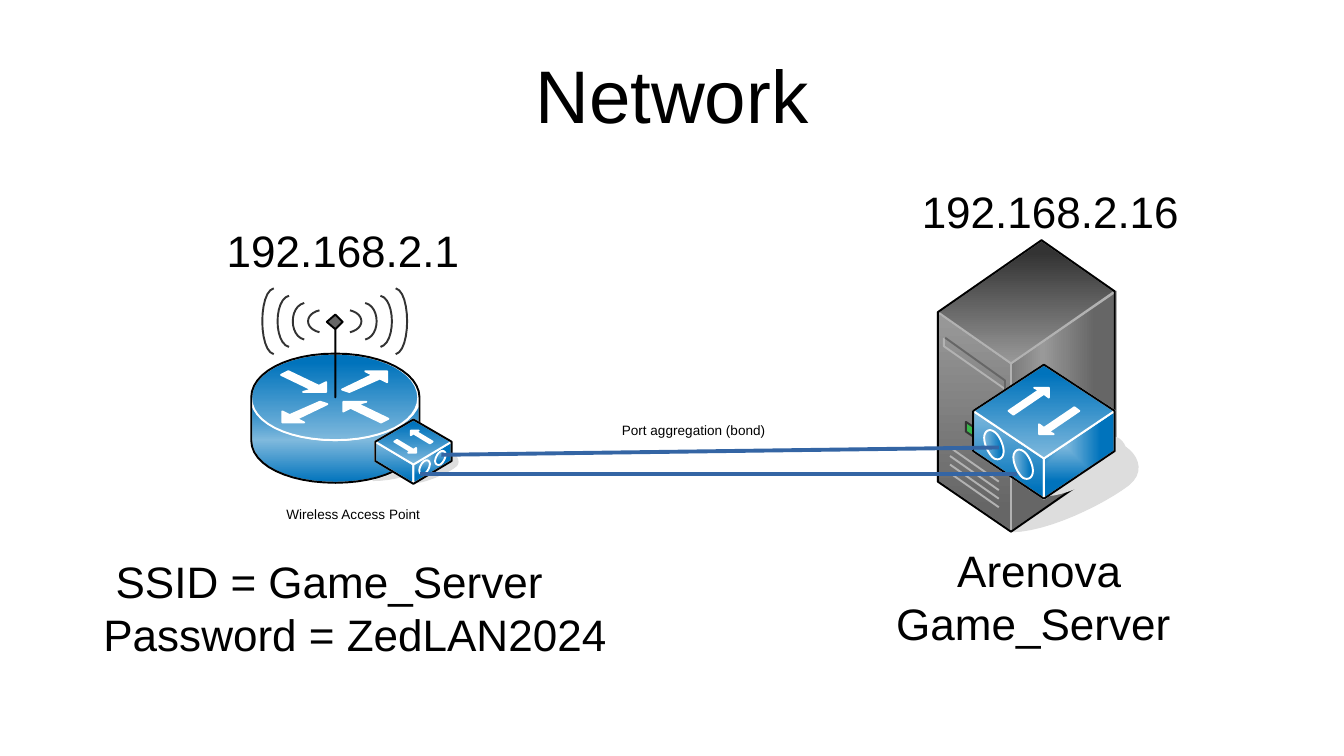
from dataclasses import dataclass, replace
from typing import Optional, Union

from lxml.etree import SubElement
from pptx import Presentation
from pptx.dml.color import RGBColor
from pptx.enum.shapes import MSO_CONNECTOR
from pptx.enum.text import MSO_ANCHOR, PP_ALIGN
from pptx.oxml.ns import qn
from pptx.util import Inches, Pt


@dataclass(frozen=True)
class Theme:
    font: str = "Arial"
    black: str = "000000"
    white: str = "FFFFFF"
    blue: str = "0073BC"
    sky: str = "7FB9DD"
    cable: str = "3465A4"
    green: str = "39B54A"
    shadow: str = "DDDDDD"
    charcoal: str = "333333"
    slate: str = "666666"
    steel: str = "999999"
    silver: str = "B2B2B2"
    title: float = 44
    label: float = 26
    caption: float = 8
    edge: float = 1.13
    bond: float = 2.3


@dataclass(frozen=True)
class Gradient:
    stops: tuple[tuple[int, str], ...]
    angle: Optional[int] = None


@dataclass(frozen=True)
class Frame:
    x: float = 0
    y: float = 0
    scale_x: float = 1
    scale_y: float = 1

    def place(self, x: float, y: float) -> tuple[float, float]:
        return self.x + self.scale_x * x, self.y + self.scale_y * y

    def inner(self, x: float, y: float, turn: int = 1) -> "Frame":
        return Frame(*self.place(x, y), turn * self.scale_x, turn * self.scale_y)


@dataclass(frozen=True)
class Outline:
    route: str
    line: str
    fill: Union[str, Gradient, None] = None
    width: float = Theme.edge


@dataclass(frozen=True)
class Label:
    left: float
    top: float
    width: float
    height: float
    lines: tuple[tuple[str, float], ...]
    size: float = Theme.label
    centred: bool = False


THEME = Theme()
PAGE = Frame()
CURVE_STEPS = 12


def blue_shade(angle: int) -> Gradient:
    return Gradient(((10, THEME.blue), (100, THEME.sky)), angle)


def trace(route: str) -> tuple[list[tuple[float, float]], bool]:
    points: list[tuple[float, float]] = []
    numbers: list[float] = []
    command = "M"
    for token in route.split():
        if token in "MLCZ":
            command = token
            continue
        numbers.append(float(token))
        if command == "C" and len(numbers) == 6:
            (ax, ay), (bx, by, cx, cy, dx, dy) = points[-1], numbers
            for step in range(1, CURVE_STEPS + 1):
                t = step / CURVE_STEPS
                u = 1 - t
                a, b, c, d = u ** 3, 3 * u * u * t, 3 * u * t * t, t ** 3
                points.append((a * ax + b * bx + c * cx + d * dx, a * ay + b * by + c * cy + d * dy))
            numbers = []
        elif command != "C" and len(numbers) == 2:
            points.append((numbers[0], numbers[1]))
            numbers = []
    return points, command == "Z"


def shade(shape, gradient: Gradient) -> None:
    shape.fill.gradient()
    element = shape._element.spPr.find(qn("a:gradFill"))
    for child in list(element):
        element.remove(child)
    stops = SubElement(element, qn("a:gsLst"))
    for position, color in gradient.stops:
        stop = SubElement(stops, qn("a:gs"), pos=str(position * 1000))
        SubElement(stop, qn("a:srgbClr"), val=color)
    if gradient.angle is None:
        centre = SubElement(element, qn("a:path"), {"path": "rect"})
        SubElement(centre, qn("a:fillToRect"), l="30000", t="30000", r="70000", b="70000")
    else:
        SubElement(element, qn("a:lin"), ang=str(gradient.angle * 60000), scaled="0")


def draw_outline(page, outline: Outline, frame: Frame = PAGE) -> None:
    points, closed = trace(outline.route)
    start, *rest = [tuple(Inches(value) for value in frame.place(*point)) for point in points]
    builder = page.shapes.build_freeform(*start)
    builder.add_line_segments(rest, close=closed)
    shape = builder.convert_to_shape()
    shape.shadow.inherit = False
    if isinstance(outline.fill, Gradient):
        shade(shape, outline.fill)
    elif outline.fill:
        shape.fill.solid()
        shape.fill.fore_color.rgb = RGBColor.from_string(outline.fill)
    else:
        shape.fill.background()
    shape.line.color.rgb = RGBColor.from_string(outline.line)
    shape.line.width = Pt(outline.width)


def draw_line(page, ends: tuple[float, float, float, float], color: str, width: float) -> None:
    line = page.shapes.add_connector(MSO_CONNECTOR.STRAIGHT, *map(Inches, ends))
    line.line.color.rgb = RGBColor.from_string(color)
    line.line.width = Pt(width)
    SubElement(line._element.spPr, qn("a:effectLst"))


def draw_router(page) -> None:
    t = THEME
    body = Gradient(((0, t.blue), (50, t.sky), (100, t.blue)), 270)
    for outline in (
        Outline("M 3.06 3.94 C 3.3 3.94 3.62 3.82 3.62 3.7 3.62 3.58 3.61 3.52 3.44 3.52 3.44 3.65 3.06 3.77 3.06 3.94 Z", t.shadow, t.shadow, 0),
        Outline("M 3.44 3.26 L 3.44 3.61 C 3.44 3.82 3.14 3.96 2.75 3.96 2.36 3.96 2.06 3.82 2.06 3.61 L 2.06 3.26 C 2.06 3.46 2.37 3.61 2.75 3.61 3.12 3.61 3.44 3.46 3.44 3.26 Z", t.white, body),
        Outline("M 2.75 2.9 C 3.14 2.9 3.43 3.06 3.43 3.26 3.43 3.46 3.14 3.61 2.75 3.61 2.35 3.61 2.06 3.46 2.06 3.26 2.06 3.06 2.35 2.9 2.75 2.9 Z", t.white, blue_shade(90)),
    ):
        draw_outline(page, outline)
    for arrow in (
        "M .26 .04 L .19 .06 .44 .18 .38 .21 .13 .09 .07 .12 .07 .04 Z",
        "M -.37 .15 L -.12 .04 -.06 .06 -.31 .18 -.25 .21 -.43 .21 -.43 .12 Z",
    ):
        for turn in (1, -1):
            draw_outline(page, Outline(arrow, t.white, t.white), Frame(2.745, 3.255, turn, turn))
    draw_outline(page, Outline("M 2.75 2.9 C 3.14 2.9 3.44 3.06 3.44 3.26 L 3.44 3.61 C 3.44 3.82 3.12 3.96 2.75 3.96 2.37 3.96 2.06 3.82 2.06 3.61 L 2.06 3.26 C 2.06 3.06 2.35 2.9 2.75 2.9 Z", t.black))
    draw_outline(page, Outline("M 2.75 3.26 L 2.75 2.7 2.68 2.64 2.75 2.58 2.81 2.64 2.75 2.7 Z", t.black, t.slate))
    for ring in range(4):
        x, reach = 0.125 * (ring + 1), 0.09 + 0.06 * ring
        bend = reach - 0.03
        wave = f"M {x} {-reach} C {x + .125} {-bend} {x + .125} {bend} {x} {reach}"
        for side in (1, -1):
            draw_outline(page, Outline(wave, t.charcoal), Frame(2.745, 2.635, side))


def draw_server(page) -> None:
    t = THEME
    front = Gradient(((10, t.slate), (100, t.steel)), 270)
    side = Gradient(((0, t.steel), (100, t.slate)))
    top = Gradient(((10, t.charcoal), (100, t.steel)), 90)
    for outline in (
        Outline("M 8.29 4.36 C 8.59 4.36 9.05 4.13 9.25 3.98 9.44 3.83 9.25 3.64 9.15 3.64 Z", t.shadow, t.shadow, 0),
        Outline("M 7.69 3.95 L 7.69 2.56 8.29 2.98 8.29 4.36 Z", t.silver, front),
        Outline("M 8.29 4.36 L 8.29 2.98 9.15 2.39 9.15 3.77 Z", t.silver, side),
        Outline("M 8.29 2.98 L 7.69 2.56 8.54 1.97 9.14 2.39 Z", t.silver, top),
        Outline("M 7.69 3.95 L 7.69 2.56 8.54 1.97 9.14 2.39 9.14 3.77 8.29 4.36 Z", t.black),
        Outline("M 8.24 3.19 L 7.74 2.84 7.74 2.77", t.silver),
        Outline("M 8.24 3.19 L 8.24 3.12 7.75 2.77", t.slate),
        Outline("M 7.92 3.54 L 7.92 3.46 7.98 3.5 7.98 3.58 Z", t.charcoal, t.green),
    ):
        draw_outline(page, outline)
    for vent in range(4):
        drop = 0.07 * vent
        draw_line(page, (8.19, 3.95 + drop, 7.79, 3.67 + drop), t.silver, t.edge)


def draw_switch(page, frame: Frame, mirrored: bool, port_angle: int) -> None:
    t = THEME
    side = Gradient(((0, t.sky), (100, t.blue)))
    for outline in (
        Outline("M .04 1.07 C .2 1.07 .62 .85 .66 .77 .7 .68 .62 .6 .58 .6 .58 .72 .04 .87 .04 1.07 Z", t.shadow, t.shadow),
        Outline("M -.58 .71 L -.58 .38 0 .77 0 1.1 Z", t.white, blue_shade(270)),
        Outline("M 0 1.1 L 0 .77 .58 .38 .58 .71 Z", t.white, side),
        Outline("M 0 .77 L -.58 .38 0 0 .58 .38 Z", t.white, blue_shade(90)),
        Outline("M -.58 .71 L -.58 .38 0 0 .58 .38 .58 .71 0 1.1 Z", t.black),
    ):
        draw_outline(page, outline, frame)
    facing = replace(frame, scale_x=-frame.scale_x) if mirrored else frame
    arrow = Outline("M 0 .14 L .25 -.03 .29 0 .04 .17 .08 .19 -.04 .19 -.04 .11 Z", t.white, t.white)
    for turn in (1, -1):
        draw_outline(page, arrow, facing.inner(0, 0.38, turn))
    port = Outline("M -.41 .55 C -.37 .57 -.33 .66 -.33 .71 -.33 .77 -.37 .79 -.41 .77 -.45 .74 -.49 .66 -.49 .6 -.49 .55 -.45 .52 -.41 .55 Z", t.white, blue_shade(port_angle))
    for number in range(2):
        draw_outline(page, port, facing.inner(0.24 * number, 0.16 * number))


def draw_label(page, label: Label) -> None:
    box = page.shapes.add_textbox(*map(Inches, (label.left, label.top, label.width, label.height)))
    frame = box.text_frame
    frame.word_wrap = True
    if label.centred:
        frame.vertical_anchor = MSO_ANCHOR.MIDDLE
    for index, (text, indent) in enumerate(label.lines):
        para = frame.paragraphs[0] if index == 0 else frame.add_paragraph()
        para.alignment = PP_ALIGN.CENTER if label.centred else PP_ALIGN.LEFT
        if indent:
            para._p.get_or_add_pPr().set("marL", str(Inches(indent)))
        span = para.add_run()
        span.text = text
        for name, value in {"name": THEME.font, "size": Pt(label.size)}.items():
            setattr(span.font, name, value)
        span.font.color.rgb = RGBColor.from_string(THEME.black)


LABELS = (
    Label(0.55, 0.25, 9.92, 1.04, (("Network", 0),), THEME.title, True),
    Label(2.25, 4.1, 1.5, 0.31, (("Wireless Access Point", 0),), THEME.caption),
    Label(5, 3.41, 2.14, 0.32, (("Port aggregation (bond)", 0),), THEME.caption),
    Label(1.46, 1.78, 2.75, 0.5, (("192.168.2.1", 0.3),)),
    Label(7.46, 1.46, 2.54, 0.91, (("192.168.2.16", 0),)),
    Label(0.75, 4.5, 4.76, 0.91, (("SSID = Game_Server", 0.1), ("Password = ZedLAN2024", 0))),
    Label(7.25, 4.41, 2.51, 0.91, (("Arenova", 0.5), ("Game_Server", 0))),
)
CABLES = ((3.62, 3.73, 8.19, 3.67), (3.44, 3.89, 8.34, 3.89))


def main() -> None:
    deck = Presentation()
    deck.slide_width, deck.slide_height = Inches(11.02), Inches(6.2)
    page = deck.slides.add_slide(deck.slide_layouts[6])
    draw_router(page)
    draw_server(page)
    draw_switch(page, Frame(8.56, 2.99), False, 180)
    draw_switch(page, Frame(3.39, 3.44, 0.54, 0.48), True, 270)
    for cable in CABLES:
        draw_line(page, cable, THEME.cable, THEME.bond)
    for label in LABELS:
        draw_label(page, label)
    deck.save("out.pptx")


if __name__ == "__main__":
    main()
